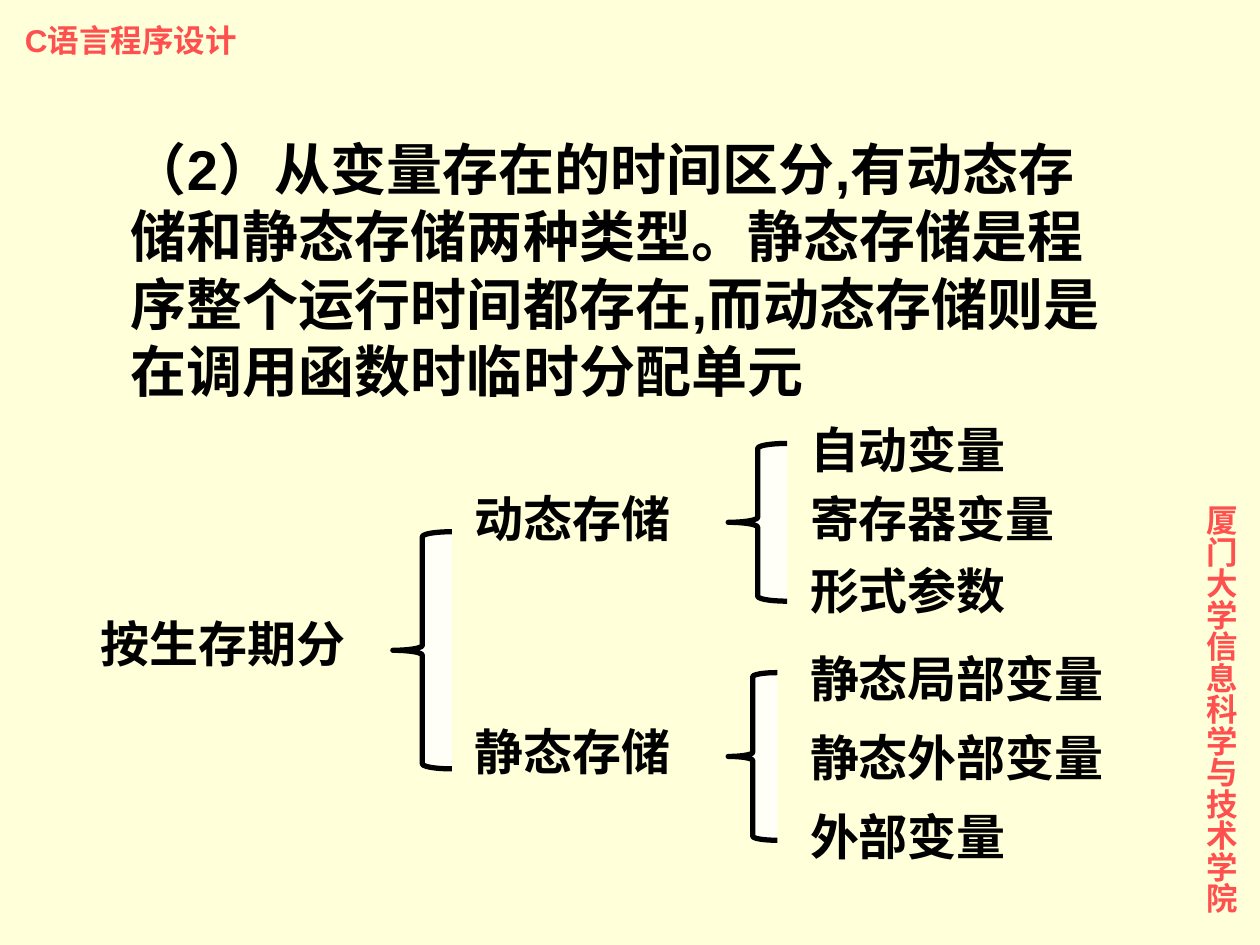
from pptx import Presentation
from pptx.dml.color import RGBColor
from pptx.enum.shapes import MSO_SHAPE
from pptx.util import Cm, Pt

COLORS = {"background": "FFFFD9", "brace": "FFFFF7", "text": "000000", "accent": "FF5050"}


def rgb(name):
    return RGBColor.from_string(COLORS[name])


def add_text(text, left, top, width, height=1.45, size=28, color="text", vert=None):
    tb = s.shapes.add_textbox(Cm(left), Cm(top), Cm(width), Cm(height))
    tf = tb.text_frame
    tf.word_wrap = True
    if vert:
        tf._txBody.bodyPr.set("vert", vert)
    r = tf.paragraphs[0].add_run()
    r.text = text
    r.font.name = "Arial"
    r.font.size = Pt(size)
    r.font.bold = True
    r.font.color.rgb = rgb(color)


prs = Presentation()
prs.slide_width, prs.slide_height = Cm(25.4), Cm(19.05)
s = prs.slides.add_slide(prs.slide_layouts[6])
s.background.fill.solid()
s.background.fill.fore_color.rgb = rgb("background")

# Course and school names
add_text("C语言程序设计", 0.25, 0.3, 4.83, 1.02, size=18, color="accent")
add_text("厦门大学信息科学与技术学院", 23.83, 9.93, 1.3, 9.17, size=18, color="accent", vert="eaVert")

add_text(
    "（2）从变量存在的时间区分,有动态存储和静态存储两种类型。"
    "静态存储是程序整个运行时间都存在,而动态存储则是在调用函数时临时分配单元",
    2.39, 2.59, 20.45, 5.74, size=32,
)

# Classification tree: root, storage kinds, variable kinds
add_text("按生存期分", 1.78, 12.24, 6.15)
for text, top in [("动态存储", 9.73), ("静态存储", 14.43)]:
    add_text(text, 9.32, top, 4.95)
for text, top in [
    ("自动变量", 8.33), ("寄存器变量", 9.73), ("形式参数", 11.18),
    ("静态局部变量", 12.95), ("静态外部变量", 14.55), ("外部变量", 16.13),
]:
    add_text(text, 16.08, top, 6.76)

for left, top, width, height in [
    (7.92, 10.72, 1.19, 4.78),
    (14.68, 8.94, 1.19, 3.18),
    (14.68, 13.56, 0.99, 3.38),
]:
    sp = s.shapes.add_shape(MSO_SHAPE.LEFT_BRACE, Cm(left), Cm(top), Cm(width), Cm(height))
    sp.shadow.inherit = False
    sp.fill.solid()
    sp.fill.fore_color.rgb = rgb("brace")
    sp.line.color.rgb = rgb("text")
    sp.line.width = Pt(3)

prs.save("out.pptx")
